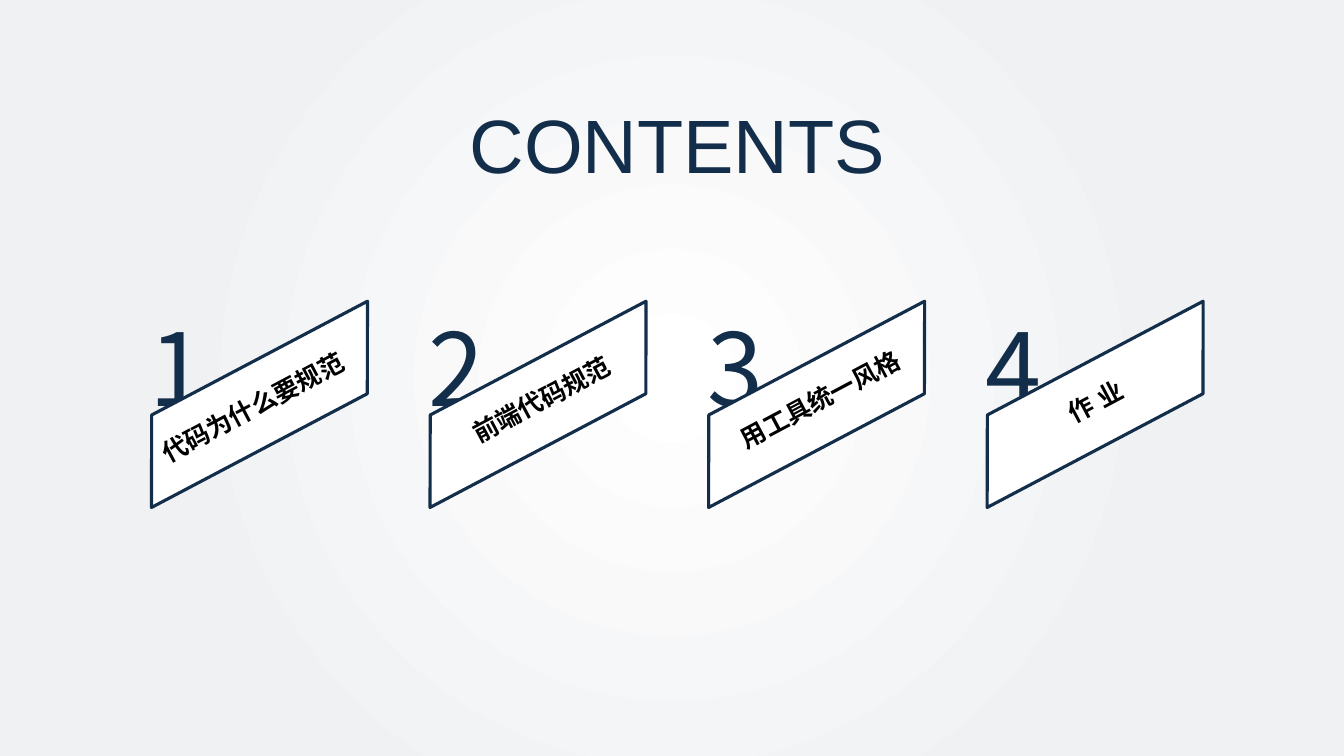
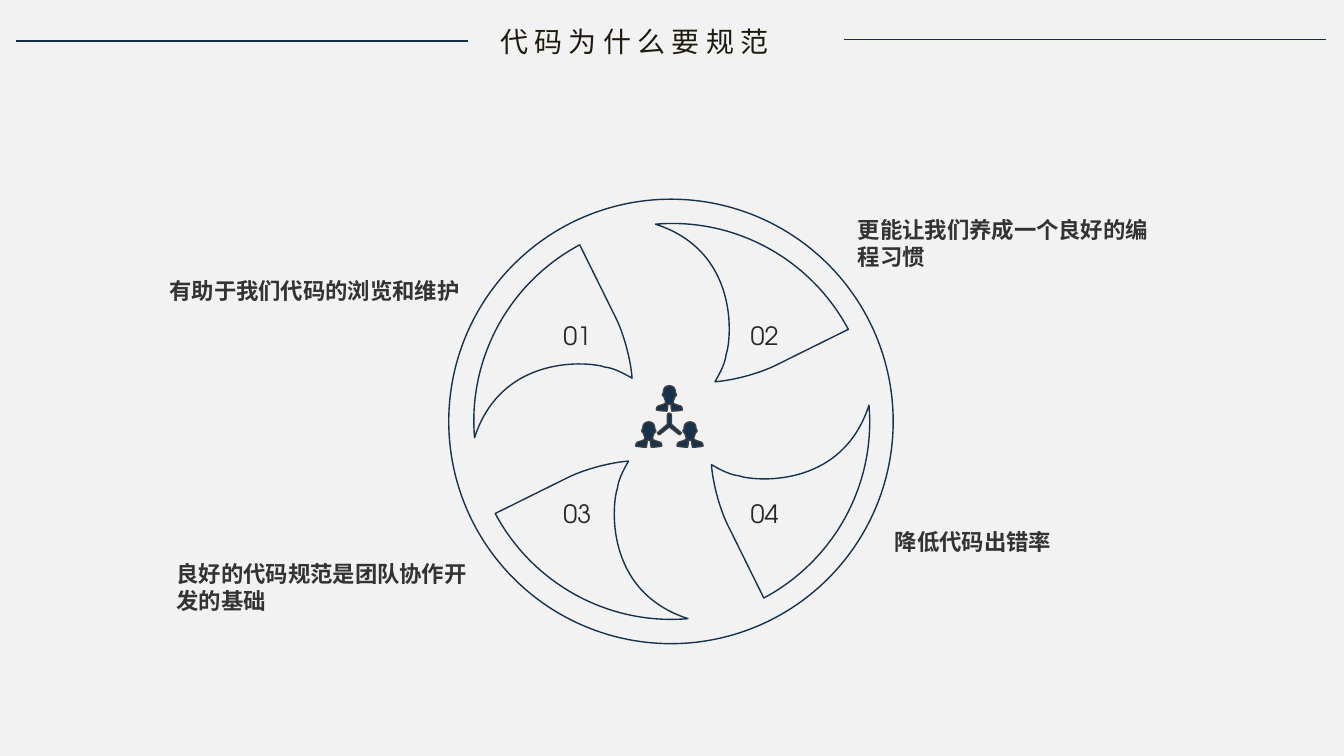
from dataclasses import dataclass

from lxml.etree import SubElement
from pptx import Presentation
from pptx.dml.color import RGBColor
from pptx.enum.shapes import MSO_CONNECTOR as CONNECTOR, MSO_SHAPE as SHAPE
from pptx.enum.text import MSO_ANCHOR as ANCHOR, MSO_AUTO_SIZE as AUTO_SIZE, PP_ALIGN as ALIGN
from pptx.oxml.ns import qn
from pptx.util import Cm, Pt

# Shared style
NAVY = RGBColor(0x13, 0x2E, 0x4A)
WHEEL_BLUE = RGBColor(0x17, 0x32, 0x4D)
ICON_EDGE = RGBColor(0x40, 0x40, 0x40)
WHITE = RGBColor(0xFF, 0xFF, 0xFF)
BLACK = RGBColor(0, 0, 0)
EDGE_GREY = RGBColor(0xF0, 0xF1, 0xF3)
PALE_GREY = RGBColor(0xF2, 0xF2, 0xF2)
BODY_GREY = RGBColor(0x33, 0x33, 0x33)
NUMBER_GREY = RGBColor(0x25, 0x29, 0x2B)
TITLE_DARK = RGBColor(0x1E, 0x1B, 0x0E)
SANS, CJK, BODY, GEOMETRIC = "Arial", "Noto Sans CJK SC", "Cabin", "TeX Gyre Adventor"
TITLE_ONLY = 5

# Outlines in cm: a start, then segments of one line end or three Bezier points
BLADE = [
    [(-1.4, -2.59)],
    [(-2.32, -4.45)],
    [(-4.13, -3.48), (-5.14, -1.55), (-4.97, 0.41)],
    [(-4.28, -1.73), (-2.04, -1.5), (-1.69, -1.37)],
    [(-1.49, -1.35), (-1.26, -1.24), (-1, -1.09)],
    [(-1.03, -1.5), (-1.18, -2.13), (-1.4, -2.59)],
]
# Right halves of symmetric outlines
PERSON_HALF = [
    [(0, 0)],
    [(0.1, 0), (0.15, 0.07), (0.15, 0.15)],
    [(0.15, 0.18)],
    [(0.15, 0.18), (0.18, 0.2), (0.18, 0.23)],
    [(0.17, 0.28), (0.13, 0.28), (0.13, 0.28)],
    [(0.13, 0.28), (0.13, 0.35), (0.1, 0.38)],
    [(0.08, 0.46), (0.13, 0.46), (0.18, 0.48)],
    [(0.25, 0.5), (0.33, 0.5), (0.33, 0.61)],
    [(0.33, 0.61), (0.23, 0.64), (0.06, 0.64)],
    [(0.04, 0.51)], [(0.05, 0.48)], [(0, 0.46)],
]
FORK_HALF = [
    [(0, 0.69)],
    [(0.03, 0.69), (0.05, 0.71), (0.05, 0.74)],
    [(0.05, 0.97)], [(0.28, 1.17)],
    [(0.31, 1.17), (0.31, 1.19), (0.28, 1.22)],
    [(0.28, 1.24), (0.25, 1.24), (0.23, 1.22)],
    [(0, 1.04)],
]


@dataclass
class Box:
    """A region in centimetres."""
    left: float
    top: float
    width: float
    height: float

    def lengths(self):
        return Cm(self.left), Cm(self.top), Cm(self.width), Cm(self.height)


@dataclass
class TextStyle:
    font: str
    size: float
    color: RGBColor
    bold: bool = False
    align: ALIGN = ALIGN.LEFT
    spacing: float = 1.0


CONTENTS_TITLE = TextStyle(SANS, 54, NAVY, align=ALIGN.CENTER)
SECTION_TITLE = TextStyle(CJK, 20, TITLE_DARK, align=ALIGN.JUSTIFY)
BIG_NUMBER = TextStyle(CJK, 72, NAVY, align=ALIGN.CENTER)
RIBBON_LABEL = TextStyle(SANS, 18, BLACK, True, ALIGN.CENTER)
CALLOUT = TextStyle(BODY, 16, BODY_GREY, True)
BLADE_NUMBER = TextStyle(GEOMETRIC, 18, NUMBER_GREY, align=ALIGN.CENTER, spacing=1.2)


# Text helpers
def set_text(shape, text, style):
    frame = shape.text_frame
    frame.text = text
    frame.word_wrap = True
    frame.auto_size = AUTO_SIZE.NONE
    paragraph = frame.paragraphs[0]
    paragraph.alignment = style.align
    paragraph.line_spacing = style.spacing
    for run in paragraph.runs:
        font = run.font
        font.name, font.size, font.bold = style.font, Pt(style.size), style.bold
        font.color.rgb = style.color
        SubElement(run.font._element, qn("a:ea")).set("typeface", style.font)


def add_text(slide, box, text, style):
    shape = slide.shapes.add_textbox(*box.lengths())
    set_text(shape, text, style)
    return shape


def place_title(slide, box, text, style, anchor):
    title = slide.shapes.title
    title.left, title.top, title.width, title.height = box.lengths()
    set_text(title, text, style)
    title.text_frame.vertical_anchor = anchor
    return title


# Drawing helpers
def paint(shape, line_color, line_width, fill=None):
    shape.shadow.inherit = False
    if fill is None:
        shape.fill.background()
    else:
        shape.fill.solid()
        shape.fill.fore_color.rgb = fill
    shape.line.color.rgb = line_color
    shape.line.width = Pt(line_width)


def mirrored(half):
    """Close a right half with its reflection, followed backwards."""
    points = [[(-x, y) for x, y in segment] for segment in half]
    reflection = []
    for before, segment in zip(points[-2::-1], points[:0:-1]):
        reflection.append(segment[-2::-1] + [before[-1]])
    return half + reflection


def add_outlines(slide, outlines):
    """Add one freeform; each outline is (origin x, origin y, segments)."""
    builder, drawn = None, []
    for left, top, segments in outlines:
        scaled = [[(round((left + x) * 1000), round((top + y) * 1000)) for x, y in segment]
                  for segment in segments]
        start, *ends = [segment[-1] for segment in scaled]
        if builder is None:
            builder = slide.shapes.build_freeform(*start, scale=Cm(0.001))
        else:
            builder.move_to(*start)
        builder.add_line_segments(ends, close=True)
        # An end equal to the start needs no closing line of its own
        drawn += scaled[1:] + ([] if ends[-1] == start else [[start]])
    shape = builder.convert_to_shape()
    bend_lines(shape, drawn)
    return shape


def bend_lines(shape, segments):
    """Turn the straight lines of a freeform into its Bezier curves."""
    lines = list(shape.element.iter(qn("a:lnTo")))
    for line, segment in zip(lines, segments):
        if len(segment) == 1:
            continue
        end = line.find(qn("a:pt"))
        shift_x = int(end.get("x")) - segment[-1][0]
        shift_y = int(end.get("y")) - segment[-1][1]
        curve = SubElement(line.getparent(), qn("a:cubicBezTo"))
        for x, y in segment:
            point = SubElement(curve, qn("a:pt"))
            point.set("x", str(x + shift_x))
            point.set("y", str(y + shift_y))
        line.getparent().replace(line, curve)


def add_rule(slide, left, right, top):
    rule = slide.shapes.add_connector(CONNECTOR.STRAIGHT, Cm(left), Cm(top), Cm(right), Cm(top))
    rule.line.color.rgb = NAVY
    rule.line.width = Pt(1)
    SubElement(rule.element.spPr, qn("a:effectLst"))


# Backgrounds
def radial_background(slide):
    fill = slide.background.fill
    fill.gradient()
    for stop, position, color in zip(fill.gradient_stops, (0, 0.67), (WHITE, EDGE_GREY)):
        stop.position = position
        stop.color.rgb = color
    gradient = slide.element.find(".//" + qn("a:gradFill"))
    gradient.remove(gradient.find(qn("a:lin")))
    circle = SubElement(gradient, qn("a:path"))
    circle.set("path", "circle")
    center = SubElement(circle, qn("a:fillToRect"))
    for side in "ltrb":
        center.set(side, "50000")


def plain_background(slide):
    slide.background.fill.solid()
    slide.background.fill.fore_color.rgb = PALE_GREY


# Contents slide
def add_ribbon(slide, box, number, label, label_x, label_y):
    """A number half hidden by a slanted ribbon; the label is centred on label_x, label_y."""
    add_text(slide, Box(box.left + 0.09, box.top, 2.95, 3.33), str(number), BIG_NUMBER)
    ribbon = slide.shapes.add_shape(
        SHAPE.PARALLELOGRAM, *Box(box.left, box.top + 1.57, box.width, 2.06).lengths())
    ribbon.adjustments[0] = 0.53
    ribbon.rotation = 332.2
    paint(ribbon, NAVY, 2.25, WHITE)
    width, height = (6.3 if number == 1 else 5.41), 1.02
    label_box = Box(box.left + label_x - width / 2, box.top + label_y - height / 2, width, height)
    add_text(slide, label_box, label, RIBBON_LABEL).rotation = 332


def build_contents(presentation):
    slide = presentation.slides.add_slide(presentation.slide_layouts[TITLE_ONLY])
    radial_background(slide)
    place_title(slide, Box(9.73, 2.34, 14.68, 2.57), "CONTENTS", CONTENTS_TITLE, ANCHOR.TOP)
    ribbons = [
        ("代码为什么要规范", 3.45, 2.67),
        ("前端代码规范", 3.71, 2.47),
        ("用工具统一风格", 3.71, 2.47),
        ("作 业 ", 3.71, 2.47),
    ]
    pitch = 7.02
    for index, (label, label_x, label_y) in enumerate(ribbons):
        box = Box(2.92 + index * pitch, 7.59, 7.24, 3.64)
        add_ribbon(slide, box, index + 1, label, label_x, label_y)


# Reasons slide
def add_heading(slide, box, text):
    """A title between two rules which reach the ends of the box."""
    title_box = Box(box.left + 12.2, box.top, 7.65, box.height)
    title = place_title(slide, title_box, text, SECTION_TITLE, ANCHOR.MIDDLE)
    frame = title.text_frame
    frame.margin_left = frame.margin_right = frame.margin_top = frame.margin_bottom = 0
    # The title takes a freeform outline of its own size
    width, height = title_box.width, title_box.height
    corners = [[(0, 0)], [(width, 0)], [(width, height)], [(0, height)]]
    outline = add_outlines(slide, [(title_box.left, title_box.top, corners)]).element
    title.element.spPr.append(outline.spPr.find(qn("a:custGeom")))
    outline.getparent().remove(outline)
    add_rule(slide, box.left, box.left + 11.38, box.top + 0.42)
    add_rule(slide, box.left + 20.87, box.left + box.width, box.top + 0.38)


def add_team_icon(slide, center_x, top):
    person, fork = mirrored(PERSON_HALF), mirrored(FORK_HALF)
    outlines = [(center_x + x, top + y, person) for x, y in ((0.52, 0.91), (-0.52, 0.91), (0, 0))]
    icon = add_outlines(slide, outlines + [(center_x, top, fork)])
    paint(icon, ICON_EDGE, 1, WHEEL_BLUE)


def add_wheel(slide, box):
    """Four blades, each a quarter turn on, inside a ring."""
    center_x, center_y = box.left + box.width / 2, box.top + box.height / 2
    blade = BLADE
    for _ in range(4):
        paint(add_outlines(slide, [(center_x + 0.02, center_y, blade)]), WHEEL_BLUE, 1)
        blade = [[(-y, x) for x, y in segment] for segment in blade]
    paint(slide.shapes.add_shape(SHAPE.OVAL, *box.lengths()), WHEEL_BLUE, 1)
    width, height = 1.55, 1.09
    for index in range(4):
        row, column = divmod(index, 2)
        left = center_x + (column * 2 - 1) * 2.36 - width / 2
        top = center_y - 2.83 + row * 4.49
        add_text(slide, Box(left, top, width, height), f"{index + 1:02}", BLADE_NUMBER)
    add_team_icon(slide, center_x - 0.04, center_y - 0.9)


def build_reasons(presentation):
    slide = presentation.slides.add_slide(presentation.slide_layouts[TITLE_ONLY])
    plain_background(slide)
    add_heading(slide, Box(0.41, 0.61, 33.01, 0.86), "代 码 为 什 么 要 规 范")
    add_wheel(slide, Box(11.31, 5.02, 11.2, 11.2))
    callouts = [
        (4.02, 6.86, 8.03, 0.94, "有助于我们代码的浏览和维护"),
        (21.37, 5.33, 8.03, 1.63, "更能让我们养成一个良好的编程习惯"),
        (4.2, 14, 8.18, 1.63, "良好的代码规范是团队协作开发的基础"),
        (22.3, 13.18, 8.03, 0.94, "降低代码出错率"),
    ]
    for *place, text in callouts:
        add_text(slide, Box(*place), text, CALLOUT)


def main():
    presentation = Presentation()
    presentation.slide_width, presentation.slide_height = Cm(33.87), Cm(19.05)
    build_contents(presentation)
    build_reasons(presentation)
    presentation.save("out.pptx")


if __name__ == "__main__":
    main()
